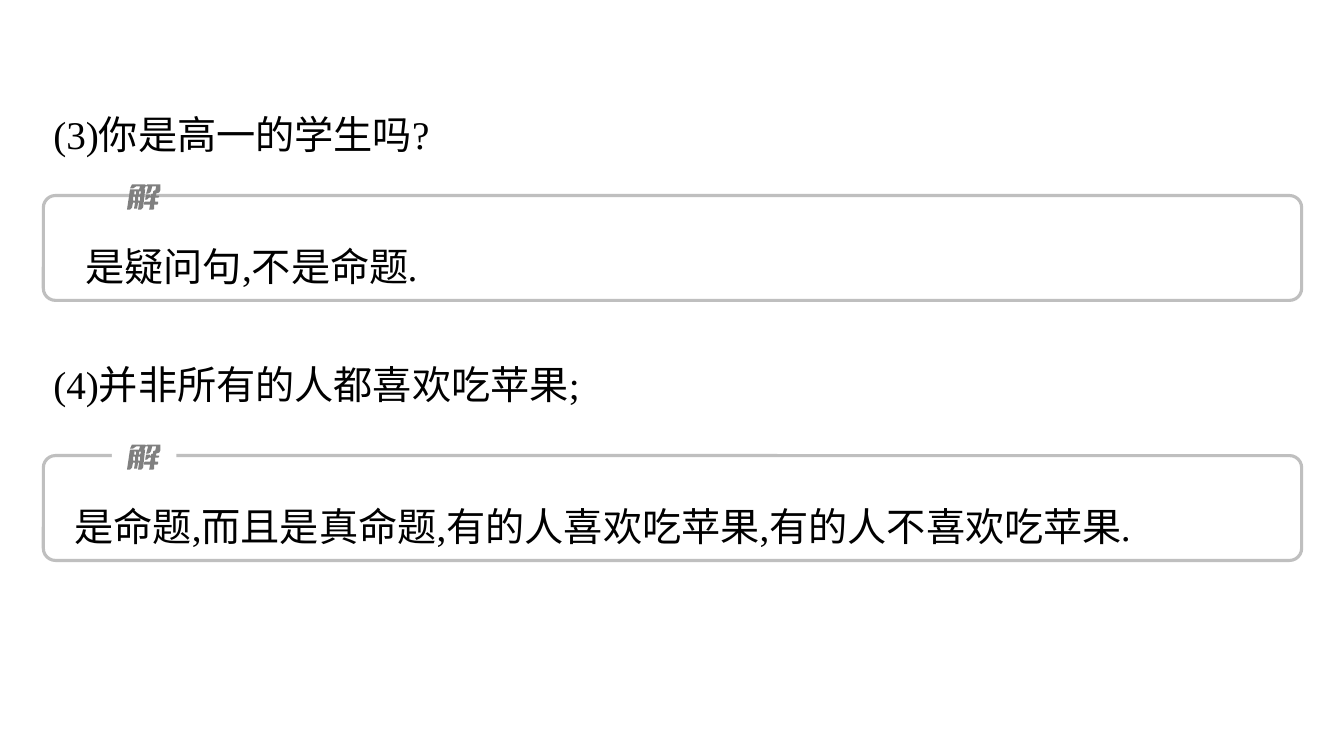
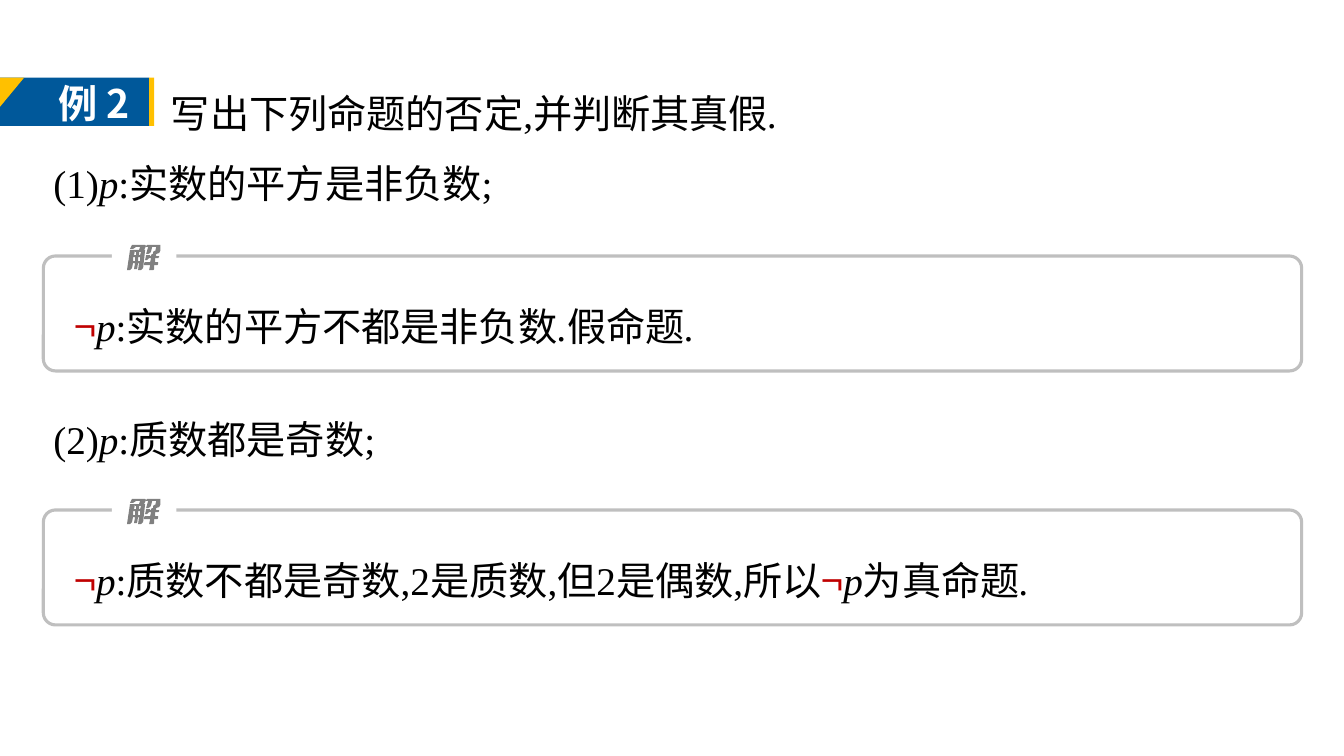
from lxml.etree import SubElement
from pptx import Presentation
from pptx.dml.color import RGBColor
from pptx.enum.shapes import MSO_SHAPE as Preset
from pptx.enum.text import MSO_AUTO_SIZE as AutoSize
from pptx.oxml.ns import qn
from pptx.util import Inches, Pt

BLACK = RGBColor(0x00, 0x00, 0x00)
WHITE = RGBColor(0xFF, 0xFF, 0xFF)
BLUE = RGBColor(0x00, 0x58, 0x9A)
GOLD = RGBColor(0xFF, 0xC0, 0x00)
RED = RGBColor(0xC0, 0x00, 0x00)
FRAME_GREY = RGBColor(0xBF, 0xBF, 0xBF)
GLYPH_GREY = RGBColor(0x80, 0x80, 0x80)
LATIN, HAN = "Times New Roman", "Noto Sans CJK SC"

BODY = {"size": Pt(28), "name": LATIN}
STYLES = {
    "plain": (BODY, BLACK),
    "italic": (BODY | {"italic": True}, BLACK),
    "not": (BODY | {"name": HAN}, RED),
    "badge": (BODY | {"name": HAN, "bold": True}, WHITE),
}
STOP, P, NOT = (".", "italic"), ("p", "italic"), ("¬", "not")

LEFT, WIDTH = 0.43, 12.48
LINE_HEIGHT = 0.73
THREE_CHARACTERS = Pt(3 * 28)

SOLUTION_GLYPH = [
    [(11, 12), (11, 16), (13, 16), (13, 12)],
    [(6, 12), (6, 16), (8, 16), (8, 12)],
    [(25, 9), (29, 9), (29, 11), (32, 11), (32, 12), (31, 13), (28, 13),
     (28, 17), (31, 17), (31, 19), (30, 20), (27, 20), (27, 24), (26, 25),
     (22, 25), (23, 20), (17, 20), (17, 18), (18, 17), (23, 17), (24, 13),
     (22, 13), (21, 14), (20, 15), (18, 15), (19, 10), (23, 10), (23, 11),
     (24, 11), (24, 10)],
    [(12, 7), (12, 10), (13, 10), (14, 7)],
    [(20, 0), (33, 0), (33, 6), (32, 8), (29, 9), (26, 9), (26, 7), (27, 6),
     (28, 6), (29, 2), (25, 2), (24, 6), (23, 8), (21, 9), (19, 9), (21, 2),
     (19, 2), (19, 1)],
    [(5, 0), (18, 0), (19, 1), (17, 5), (18, 5), (16, 23), (15, 24), (14, 25),
     (11, 25), (12, 18), (11, 18), (10, 24), (7, 24), (8, 18), (6, 18),
     (5, 23), (4, 24), (3, 25), (0, 25), (3, 5), (8, 5), (7, 10), (9, 10),
     (9, 7), (8, 7), (8, 5), (12, 5), (13, 2), (9, 2), (6, 4), (3, 4)],
]


def add_run(paragraph, text, style="plain"):
    """Add one run in a named style, with the Han font beside the Latin one."""
    run = paragraph.add_run()
    run.text = text
    values, color = STYLES[style]
    for key, value in values.items():
        setattr(run.font, key, value)
    run.font.color.rgb = color
    SubElement(run.font._element, qn("a:ea")).set("typeface", HAN)


def add_text(slide, left, top, width, height, lines, spacing=1.5, indent=0):
    """Place lines of (text, style) runs; the first line may be indented."""
    frame = slide.shapes.add_textbox(*map(Inches, (left, top, width, height))).text_frame
    frame.word_wrap = True
    frame.auto_size = AutoSize.SHAPE_TO_FIT_TEXT
    for number, line in enumerate(lines):
        paragraph = frame.add_paragraph() if number else frame.paragraphs[0]
        paragraph.line_spacing = spacing
        if indent and not number:
            paragraph._p.get_or_add_pPr().set("indent", str(indent))
        for run in line:
            add_run(paragraph, *run)


def paint(shape, fill):
    """Give a shape a flat fill without outline or shadow."""
    shape.shadow.inherit = False
    shape.fill.solid()
    shape.fill.fore_color.rgb = fill
    shape.line.fill.background()
    return shape


def add_block(slide, preset, left, top, width, height, fill):
    """Place a flat preset shape."""
    return paint(slide.shapes.add_shape(preset, *map(Inches, (left, top, width, height))), fill)


def add_solution_glyph(slide, left, top):
    """Draw the slanted 解 lettering as one outline."""
    builder = slide.shapes.build_freeform(*SOLUTION_GLYPH[0][0], scale=Inches(0.01))
    for number, (start, *rest) in enumerate(SOLUTION_GLYPH):
        if number:
            builder.move_to(*start)
        builder.add_line_segments(rest, close=True)
    paint(builder.convert_to_shape(Inches(left), Inches(top)), GLYPH_GREY)


def add_question(slide, top, runs):
    """Place a one-line question across the slide."""
    add_text(slide, LEFT, top, WIDTH, LINE_HEIGHT, [runs])


def add_solution(slide, top, height, runs, inset=0.21, gap=True):
    """Place an answer in a rounded frame, its label on the top edge."""
    add_text(slide, LEFT + inset, top + 0.18, WIDTH - 2 * inset, LINE_HEIGHT, [runs])
    frame = slide.shapes.add_shape(
        Preset.ROUNDED_RECTANGLE, *map(Inches, (LEFT, top, WIDTH, height)))
    frame.shadow.inherit = False
    frame.adjustments[0] = 0.12 / height
    frame.fill.background()
    frame.line.color.rgb = FRAME_GREY
    frame.line.width = Pt(2.25)
    if gap:
        add_block(slide, Preset.RECTANGLE, LEFT + 0.68, top - 0.12, 0.64, 0.24, WHITE)
    add_solution_glyph(slide, LEFT + 0.83, top - 0.11)


def add_example_badge(slide, top, label):
    """Place the example tag at the left edge."""
    height = 0.48
    add_block(slide, Preset.RECTANGLE, 0, top, 1.48, height, BLUE)
    corner = add_block(slide, Preset.RIGHT_TRIANGLE, 0, top, 0.24, 0.29, GOLD)
    corner._element.spPr.xfrm.set("flipV", "1")
    add_text(slide, 0.48, top - 0.03, 1, 0.57, [[(label, "badge")]], spacing=1)
    add_block(slide, Preset.RECTANGLE, 1.48, top, 0.05, height, GOLD)


def build_judgement_slide(slide):
    """Build questions 3 and 4 with their answers."""
    add_question(slide, 0.81, [("(3)你是高一的学生吗?",)])
    add_solution(slide, 1.94, 1.04, [("是疑问句,不是命题",), STOP], inset=0.32, gap=False)
    add_question(slide, 3.29, [("(4)并非所有的人都喜欢吃苹果;",)])
    add_solution(slide, 4.52, 1.04, [
        ("是命题,而且是真命题,有的人喜欢吃苹果,有的人不喜欢吃苹果",), STOP])


def build_negation_slide(slide):
    """Build example 2 on negating propositions."""
    add_text(slide, LEFT, 0.6, WIDTH, 1.44, [
        [("写出下列命题的否定,并判断其真假",), STOP],
        [("(1)",), P, (":实数的平方是非负数;",)],
    ], indent=THREE_CHARACTERS)
    add_example_badge(slide, 0.77, "例 2")
    add_solution(slide, 2.54, 1.14, [
        NOT, P, (":实数的平方不都是非负数",), STOP, ("假命题",), STOP])
    add_question(slide, 3.84, [("(2)",), P, (":质数都是奇数;",)])
    add_solution(slide, 5.06, 1.14, [
        NOT, P, (":质数不都是奇数,2是质数,但2是偶数,所以",),
        NOT, P, ("为真命题",), STOP])


def main():
    """Build and save the presentation."""
    deck = Presentation()
    deck.slide_width, deck.slide_height = Inches(13.33), Inches(7.5)
    for build in (build_judgement_slide, build_negation_slide):
        build(deck.slides.add_slide(deck.slide_layouts[6]))
    deck.save("out.pptx")


if __name__ == "__main__":
    main()
